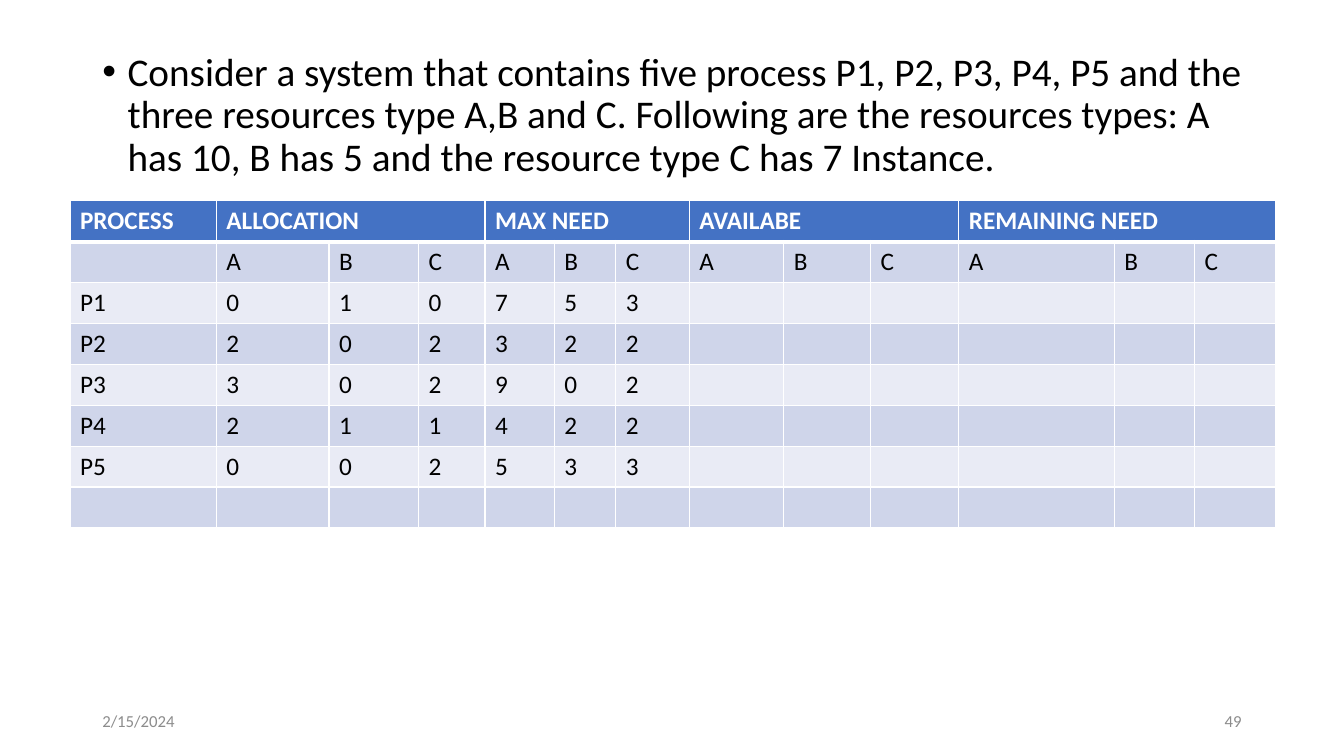
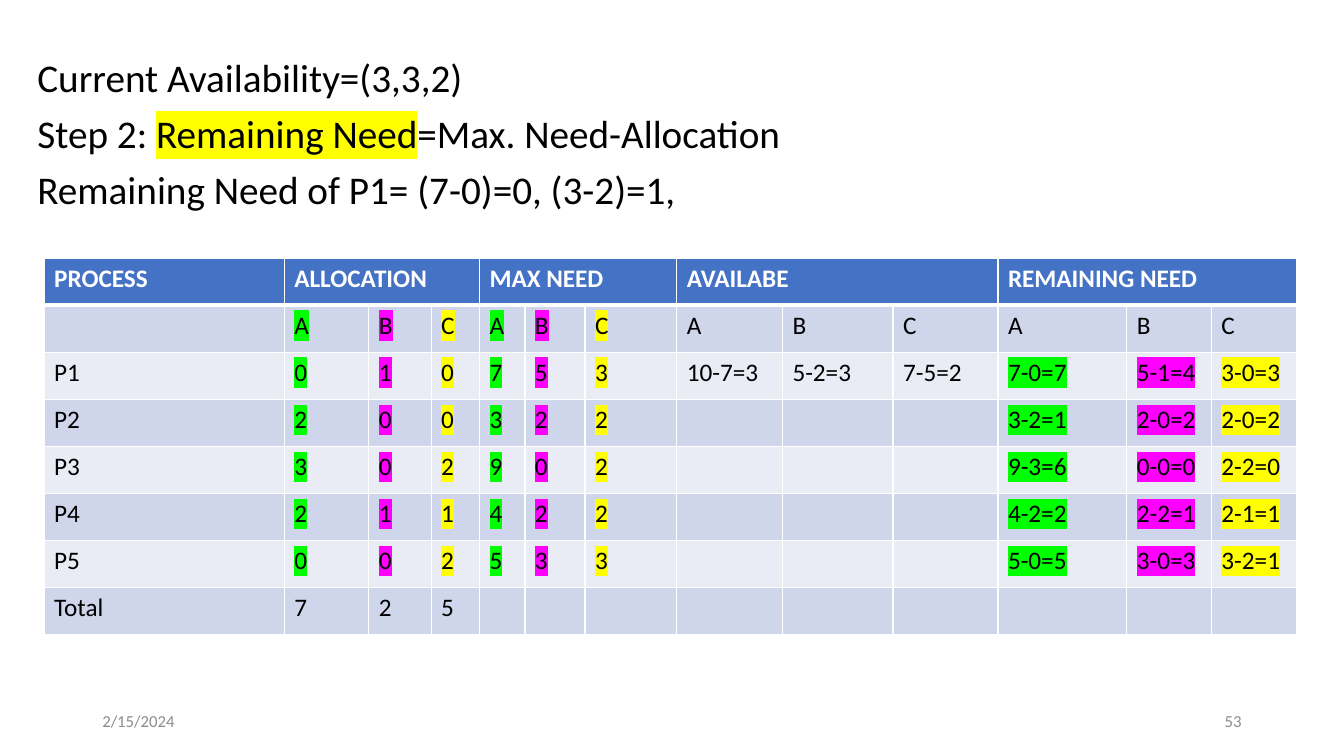
from lxml.etree import SubElement
from pptx import Presentation
from pptx.dml.color import RGBColor
from pptx.enum.text import MSO_ANCHOR, MSO_AUTO_SIZE, PP_ALIGN
from pptx.oxml.ns import qn
from pptx.util import Pt

COLORS = {
    "text": "000000",
    "footer": "8C8C8C",
    "white": "FFFFFF",
    "header": "4472C4",
    "dark_band": "CFD5EA",
    "light_band": "E9EBF5",
    "green": "00FF00",
    "magenta": "FF00FF",
    "yellow": "FFFF00",
}
FONT = "Calibri"
DATE = "2/15/2024"
GROUPS = ("ALLOCATION", "MAX NEED", "AVAILABE", "REMAINING NEED")
RESOURCES = ("A", "B", "C")
RESOURCE_HIGHLIGHTS = ("green", "magenta", "yellow")
BLANK = ("", "", "")
COLUMN_TITLES = ("", RESOURCES, RESOURCES, RESOURCES, RESOURCES)

# Each row: process, then one triple (A, B, C) for each group
PROBLEM_ROWS = [
    COLUMN_TITLES,
    ("P1", "010", "753", BLANK, BLANK),
    ("P2", "202", "322", BLANK, BLANK),
    ("P3", "302", "902", BLANK, BLANK),
    ("P4", "211", "422", BLANK, BLANK),
    ("P5", "002", "533", BLANK, BLANK),
    ("", BLANK, BLANK, BLANK, BLANK),
]
NEED_ROWS = [
    COLUMN_TITLES,
    ("P1", "010", "753", ("10-7=3", "5-2=3", "7-5=2"), ("7-0=7", "5-1=4", "3-0=3")),
    ("P2", "200", "322", BLANK, ("3-2=1", "2-0=2", "2-0=2")),
    ("P3", "302", "902", BLANK, ("9-3=6", "0-0=0", "2-2=0")),
    ("P4", "211", "422", BLANK, ("4-2=2", "2-2=1", "2-1=1")),
    ("P5", "002", "533", BLANK, ("5-0=5", "3-0=3", "3-2=1")),
    ("Total", "725", BLANK, BLANK, BLANK),
]
PROBLEM_WIDTHS = (104.5, 80.5, 64, 47.5, 49.5, 44, 52.5, 67.5, 62, 63, 111, 57.5, 57.5)
NEED_WIDTHS = (171.5, 60.5, 44.5, 34.5, 32.5, 43, 65.5, 75.5, 79, 75, 92, 60.5, 60.5)

PROBLEM_LINES = [[(
    "Consider a system that contains five process P1, P2, P3, P4, P5 and the "
    "three resources type A,B and C. Following are the resources types: A has 10, "
    "B has 5 and the resource type C has 7 Instance.", None)]]
NEED_LINES = [
    [("Current Availability=(3,3,2)", None)],
    [("Step 2: ", None), ("Remaining Need", "yellow"), ("=Max. Need-Allocation", None)],
    [("Remaining Need of P1= (7-0)=0, (3-2)=1,", None)],
]


def add_text(paragraph, text, size=18, color="text", bold=False, highlight=None):
    run = paragraph.add_run()
    run.text = text
    font = run.font
    font.size, font.bold = Pt(size), bold
    font.color.rgb = RGBColor.from_string(COLORS[color])
    if highlight:
        mark = SubElement(font._element, qn("a:highlight"))
        SubElement(mark, qn("a:srgbClr"), val=COLORS[highlight])
    font.name = FONT


def place(shape, box):
    shape.left, shape.top, shape.width, shape.height = (Pt(length) for length in box)


def fill_body(body, box, lines, bulleted):
    place(body, box)
    frame = body.text_frame
    frame.auto_size = MSO_AUTO_SIZE.NONE
    frame.vertical_anchor = MSO_ANCHOR.TOP
    for index, line in enumerate(lines):
        paragraph = frame.add_paragraph() if index else frame.paragraphs[0]
        properties = paragraph._p.get_or_add_pPr()
        indent = Pt(18) if bulleted else 0
        properties.set("marL", str(indent))
        properties.set("indent", str(-indent))
        if bulleted:
            SubElement(properties, qn("a:buChar"), char="•")
        else:
            SubElement(properties, qn("a:buNone"))
        paragraph.line_spacing = 0.9
        paragraph.space_before = Pt(10 if index else 0)
        for text, highlight in line:
            add_text(paragraph, text, size=28, highlight=highlight)


def add_footer(slide, number):
    for text, left, alignment in ((DATE, 66, PP_ALIGN.LEFT), (number, 678, PP_ALIGN.RIGHT)):
        label = slide.shapes.add_textbox(Pt(left), Pt(500.5), Pt(216), Pt(28.75))
        frame = label.text_frame
        frame.word_wrap = True
        frame.vertical_anchor = MSO_ANCHOR.MIDDLE
        paragraph = frame.paragraphs[0]
        paragraph.alignment = alignment
        add_text(paragraph, text, size=12, color="footer")


def style_cell(cell, fill, top=1, bottom=1):
    properties = cell._tc.get_or_add_tcPr()
    for side, width in (("L", 1), ("R", 1), ("T", top), ("B", bottom)):
        border = SubElement(properties, qn(f"a:ln{side}"), w=str(Pt(width)))
        color = SubElement(border, qn("a:solidFill"))
        SubElement(color, qn("a:srgbClr"), val=COLORS["white"])
    cell.fill.solid()
    cell.fill.fore_color.rgb = RGBColor.from_string(COLORS[fill])


def find_highlight(row, column):
    """Colour of a resource column, for every group but the available one."""
    group, resource = divmod(column - 1, len(RESOURCES))
    is_title, is_process = row[0] == "", row[0].startswith("P")
    marked = column > 0 and (group in (0, 1) and is_title or group in (0, 1, 3) and is_process)
    return RESOURCE_HIGHLIGHTS[resource] if marked else None


def add_resource_table(slide, left, top, widths, row_height, rows, highlighted):
    table = slide.shapes.add_table(
        len(rows) + 1, len(widths), Pt(left), Pt(top),
        Pt(sum(widths)), Pt(row_height * (len(rows) + 1))).table
    for column, width in zip(table.columns, widths):
        column.width = Pt(width)
    for table_row in table.rows:
        table_row.height = Pt(row_height)

    for column in range(len(widths)):
        style_cell(table.cell(0, column), "header", bottom=3)
    for index, title in enumerate(("PROCESS",) + GROUPS):
        column = max(0, 3 * index - 2)
        cell = table.cell(0, column)
        if index:
            cell.merge(table.cell(0, column + 2))
        add_text(cell.text_frame.paragraphs[0], title, color="white", bold=True)

    for index, row in enumerate(rows, start=1):
        values = [row[0]] + [value for triple in row[1:] for value in triple]
        for column, value in enumerate(values):
            cell = table.cell(index, column)
            style_cell(cell, "dark_band" if index % 2 else "light_band",
                       top=3 if index == 1 else 1)
            if value:
                highlight = find_highlight(row, column) if highlighted else None
                add_text(cell.text_frame.paragraphs[0], value, highlight=highlight)


def add_content_slide(deck, number, body_box, lines, bulleted):
    slide = deck.slides.add_slide(deck.slide_layouts[1])
    title = slide.shapes.title._element
    title.getparent().remove(title)
    fill_body(slide.placeholders[1], body_box, lines, bulleted)
    add_footer(slide, number)
    return slide


def main():
    deck = Presentation()
    deck.slide_width, deck.slide_height = Pt(960), Pt(540)

    problem = add_content_slide(deck, "49", (66, 34, 828, 452), PROBLEM_LINES, True)
    add_resource_table(problem, 50, 143.5, PROBLEM_WIDTHS, 29.2, PROBLEM_ROWS, False)

    need = add_content_slide(deck, "53", (19.5, 38, 930, 448.5), NEED_LINES, False)
    add_resource_table(need, 31.5, 184.5, NEED_WIDTHS, 33.6, NEED_ROWS, True)

    deck.save("out.pptx")


if __name__ == "__main__":
    main()
